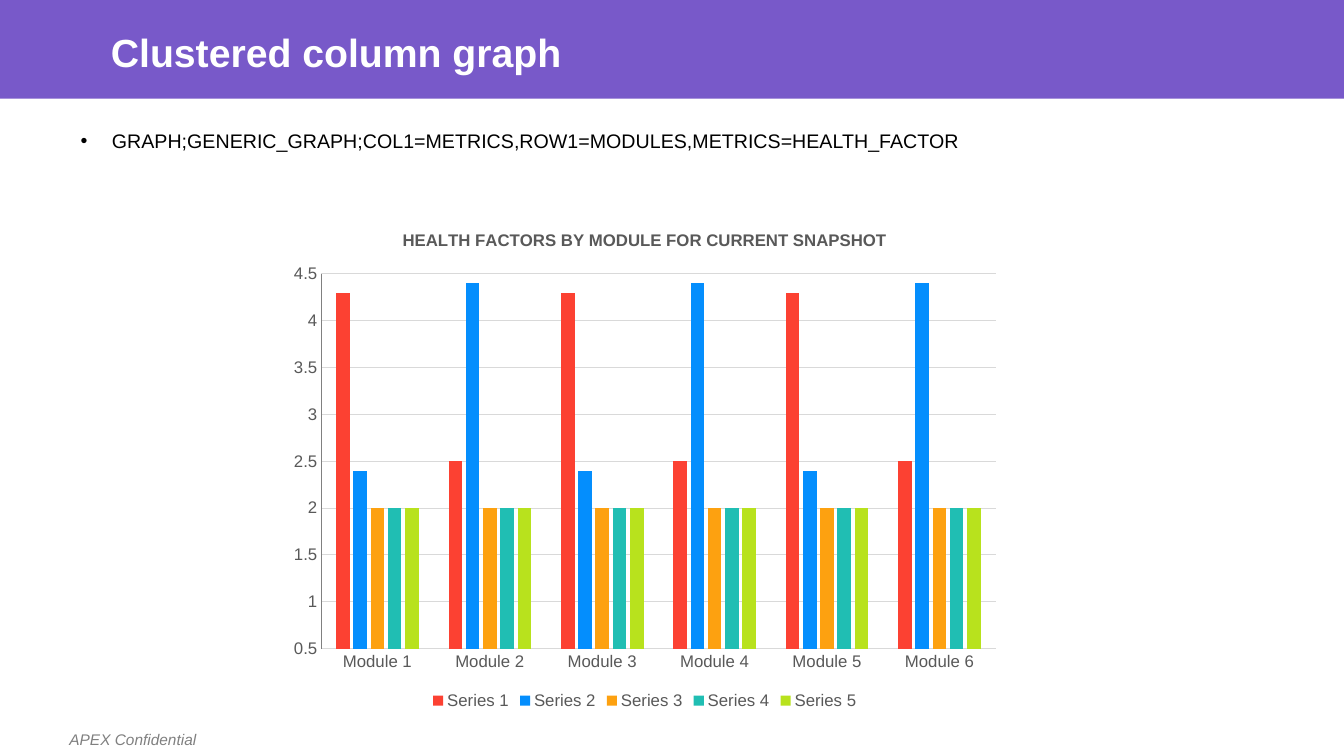
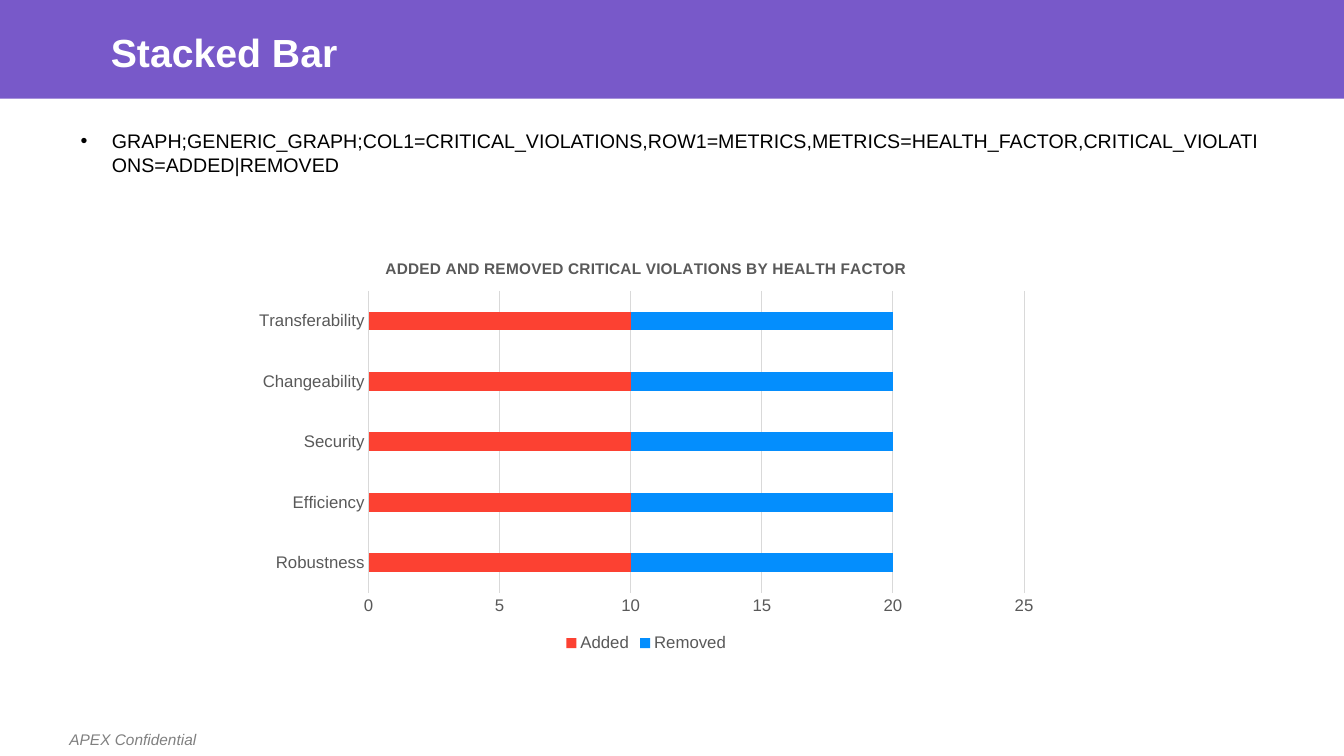
from dataclasses import dataclass

from pptx import Presentation
from pptx.chart.data import CategoryChartData
from pptx.dml.color import RGBColor
from pptx.enum.chart import XL_CHART_TYPE as ChartType
from pptx.enum.chart import XL_LEGEND_POSITION as LegendPosition
from pptx.enum.chart import XL_TICK_MARK as TickMark
from pptx.enum.shapes import MSO_SHAPE as Preset
from pptx.enum.text import MSO_ANCHOR as Anchor
from pptx.enum.text import MSO_AUTO_SIZE as AutoSize
from pptx.enum.text import PP_ALIGN as Align
from pptx.util import Pt

EMU_PER_PX = 9144  # 100 px to the inch
SLIDE_SIZE = (1333, 750)
BULLET_INDENT = 31


@dataclass(frozen=True)
class Theme:
    font: str = "Arial"
    band: str = "7859C9"
    title: str = "FFFFFF"
    body: str = "000000"
    footer: str = "808080"
    chart_text: str = "595959"
    grid: str = "D9D9D9"
    axis: str = "808080"
    series: tuple = ("FC4132", "048EFD", "FDA110", "20BEB3", "B8E21D")
    title_size: int = 28
    body_size: int = 14
    footer_size: int = 11
    chart_size: int = 12
    line_width: float = 0.75


THEME = Theme()


def px(length):
    return length * EMU_PER_PX


def box(*lengths):
    return [px(length) for length in lengths]


def place(shape, left, top, width, height):
    shape.left, shape.top, shape.width, shape.height = box(left, top, width, height)


def style_font(font, size, color, bold=False, italic=False):
    font.name = THEME.font
    font.size = Pt(size)
    font.bold = bold
    font.italic = italic
    font.color.rgb = RGBColor.from_string(color)


def style_line(line, color):
    line.width = Pt(THEME.line_width)
    line.color.rgb = RGBColor.from_string(color)


def add_band(slide):
    band = slide.shapes.add_shape(Preset.RECTANGLE, *box(0, 0, SLIDE_SIZE[0], 98))
    band.shadow.inherit = False
    band.fill.solid()
    band.fill.fore_color.rgb = RGBColor.from_string(THEME.band)
    band.line.fill.background()
    return band


def add_footer(slide):
    footer = slide.shapes.add_textbox(*box(59, 719, 147, 29))
    frame = footer.text_frame
    frame.word_wrap = False
    frame.text = "APEX Confidential"
    style_font(frame.paragraphs[0].runs[0].font, THEME.footer_size, THEME.footer, italic=True)
    return footer


def prepare_layout(layout, slide):
    """Set the placeholder places and move the band and footer to the layout."""
    for placeholder in list(layout.placeholders):
        index = placeholder.placeholder_format.idx
        if index == 0:
            place(placeholder, 100, 28, 1150, 44)
        elif index == 1:
            place(placeholder, 70, 123, 1196, 476)
        else:
            placeholder.element.getparent().remove(placeholder.element)
    for position, shape in enumerate((add_band(slide), add_footer(slide)), start=2):
        layout.shapes.element.insert(position, shape.element)


def set_title(slide, text):
    frame = slide.shapes.title.text_frame
    frame.text = text
    frame.auto_size = AutoSize.NONE
    frame.vertical_anchor = Anchor.TOP
    paragraph = frame.paragraphs[0]
    paragraph.alignment = Align.LEFT
    paragraph.line_spacing = 0.9
    style_font(paragraph.runs[0].font, THEME.title_size, THEME.title, bold=True)


def set_bullet(slide, text):
    frame = slide.placeholders[1].text_frame
    frame.text = text
    frame.auto_size = AutoSize.NONE
    paragraph = frame.paragraphs[0]
    paragraph.space_before = Pt(12)
    properties = paragraph._p.get_or_add_pPr()
    properties.set("marL", str(px(BULLET_INDENT)))
    properties.set("indent", str(px(-BULLET_INDENT)))
    style_font(paragraph.runs[0].font, THEME.body_size, THEME.body)


def style_axis(axis, line_color=None):
    axis.major_tick_mark = axis.minor_tick_mark = TickMark.NONE
    style_font(axis.tick_labels.font, THEME.chart_size, THEME.chart_text)
    if line_color:
        style_line(axis.format.line, line_color)
    else:
        axis.format.line.fill.background()


def add_chart(slide, kind, area, title, title_size, categories, series,
              overlap, value_line=None, value_range=None):
    data = CategoryChartData()
    data.categories = categories
    for name, values in series.items():
        data.add_series(name, values)
    chart = slide.shapes.add_chart(kind, *box(*area), data).chart
    style_font(chart.font, THEME.chart_size, THEME.chart_text)

    chart.has_title = True
    chart.chart_title.include_in_layout = False
    title_frame = chart.chart_title.text_frame
    title_frame.text = title
    style_font(title_frame.paragraphs[0].runs[0].font, title_size, THEME.chart_text, bold=True)

    chart.has_legend = True
    chart.legend.position = LegendPosition.BOTTOM
    chart.legend.include_in_layout = False
    style_font(chart.legend.font, THEME.chart_size, THEME.chart_text)

    style_axis(chart.category_axis, THEME.grid)
    style_axis(chart.value_axis, value_line)
    chart.value_axis.has_major_gridlines = True
    style_line(chart.value_axis.major_gridlines.format.line, THEME.grid)
    if value_range:
        chart.value_axis.minimum_scale, chart.value_axis.maximum_scale = value_range

    plot = chart.plots[0]
    plot.gap_width = 219
    plot.overlap = overlap
    plot.vary_by_categories = False
    for plotted, color in zip(plot.series, THEME.series):
        plotted.format.fill.solid()
        plotted.format.fill.fore_color.rgb = RGBColor.from_string(color)


def fill_column_slide(slide):
    set_title(slide, "Clustered column graph")
    set_bullet(slide, "GRAPH;GENERIC_GRAPH;COL1=METRICS,ROW1=MODULES,METRICS=HEALTH_FACTOR")
    series = {"Series 1": [4.3, 2.5] * 3, "Series 2": [2.4, 4.4] * 3}
    series.update({f"Series {number}": [2] * 6 for number in range(3, 6)})
    add_chart(
        slide, ChartType.COLUMN_CLUSTERED, (277, 210, 725, 498),
        "HEALTH FACTORS BY MODULE FOR CURRENT SNAPSHOT", 12,
        [f"Module {number}" for number in range(1, 7)], series,
        overlap=-27, value_line=THEME.axis, value_range=(0.5, 4.5),
    )


def fill_bar_slide(slide):
    set_title(slide, "Stacked Bar")
    set_bullet(slide, "GRAPH;GENERIC_GRAPH;COL1=CRITICAL_VIOLATIONS,ROW1=METRICS,"
                      "METRICS=HEALTH_FACTOR,CRITICAL_VIOLATIONS=ADDED|REMOVED")
    add_chart(
        slide, ChartType.BAR_STACKED, (241, 240, 800, 411),
        "ADDED AND REMOVED CRITICAL VIOLATIONS BY HEALTH FACTOR", 11,
        ["Robustness", "Efficiency", "Security", "Changeability", "Transferability"],
        {"Added": [10] * 5, "Removed": [10] * 5}, overlap=100,
    )


def main():
    presentation = Presentation()
    presentation.slide_width, presentation.slide_height = box(*SLIDE_SIZE)
    layout = presentation.slide_layouts[1]
    column_slide, bar_slide = [presentation.slides.add_slide(layout) for _ in range(2)]
    prepare_layout(layout, column_slide)
    fill_column_slide(column_slide)
    fill_bar_slide(bar_slide)
    presentation.save("out.pptx")


if __name__ == "__main__":
    main()
